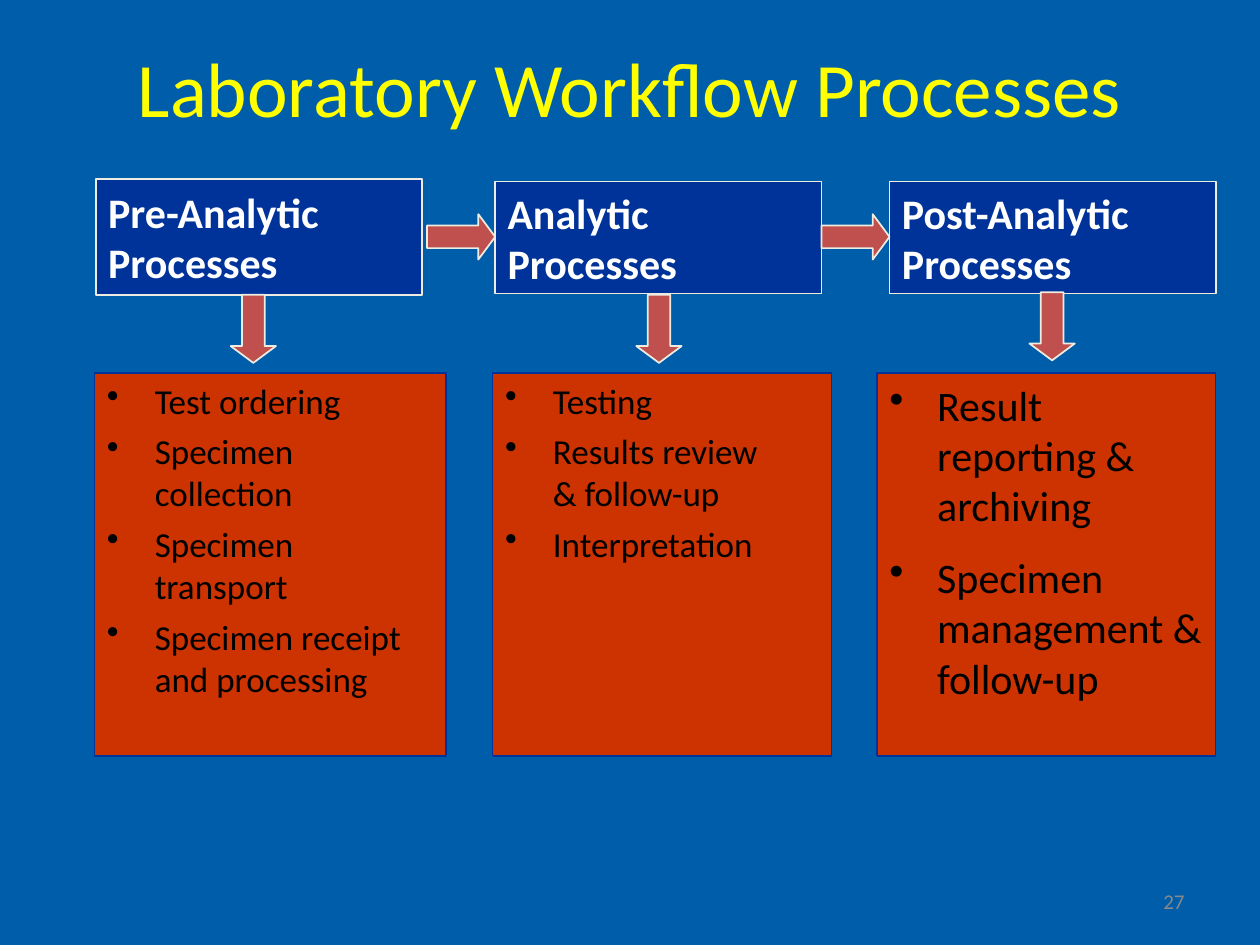
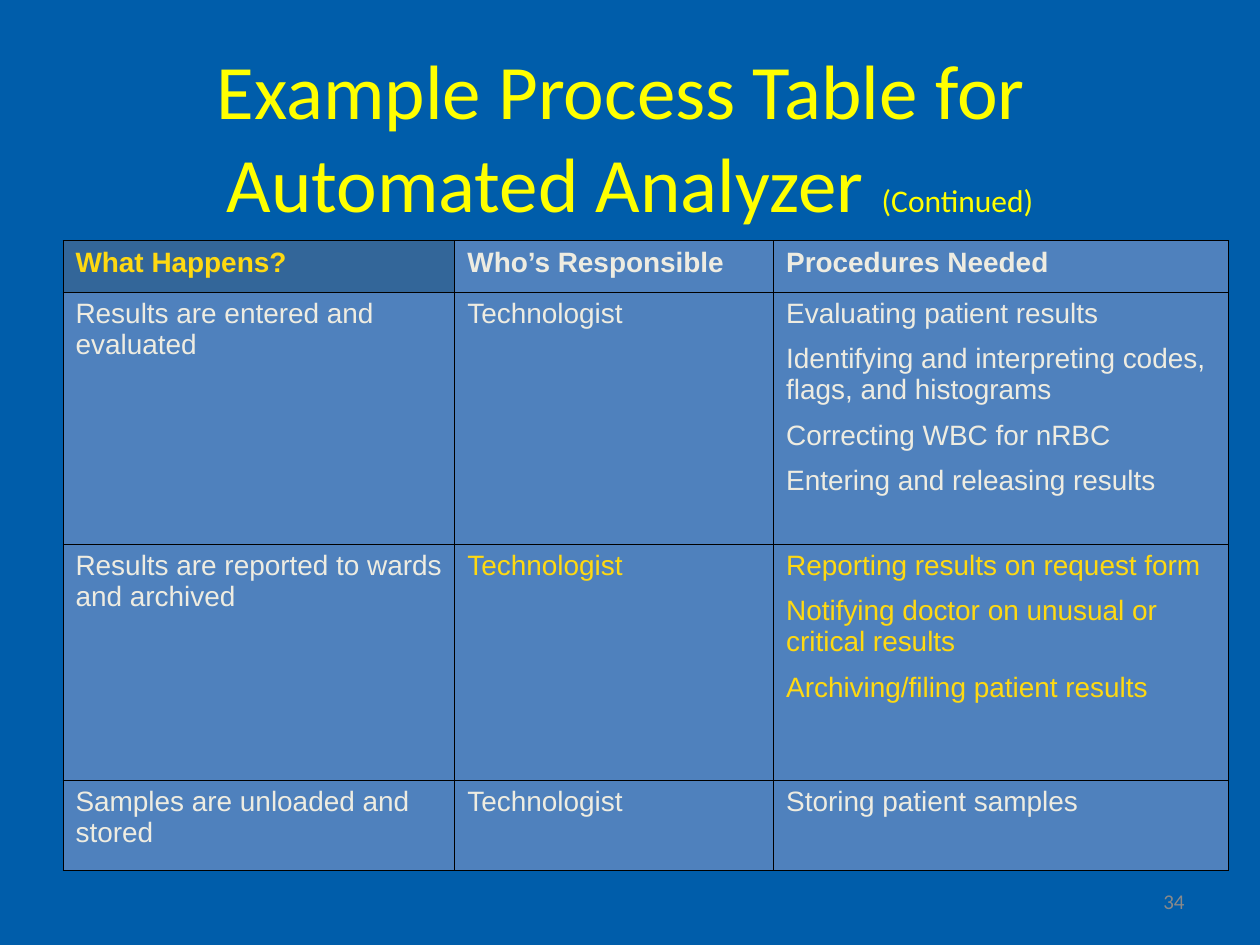
from pptx import Presentation
from pptx.dml.color import RGBColor
from pptx.enum.shapes import MSO_SHAPE
from pptx.enum.text import MSO_ANCHOR, MSO_AUTO_SIZE, PP_ALIGN
from pptx.oxml import parse_xml
from pptx.oxml.ns import nsdecls
from pptx.util import Inches, Pt


class Theme:
    back, title, page = "005DAA", "FFFF00", "898989"
    head, task, arrow = "003399", "CC3300", "C0504D"
    white, black, pale = "FFFFFF", "000000", "EEECE1"
    cell, corner, gold = "4F81BD", "336699", "FFD911"
    font, grid_font = "Calibri", "Arial"
    title_size, large, body, note, grid_size, page_size = 44, 24, 20, 18, 16, 12
    edge, thin, grid_line = 1, 0.75, 0.45


FLOW = {
    "title": "Laboratory Workflow Processes",
    "title_box": (0, 0.27, 10, 1.25),
    "page": "27",
    "stages": [
        {"head": "Pre-Analytic \vProcesses",
         "head_box": (0.76, 1.42, 2.59, 0.92),
         "tasks": ["Test ordering", "Specimen collection",
                   "Specimen transport", "Specimen receipt and processing"],
         "task_box": (0.75, 2.96, 2.79, 3.04),
         "size": Theme.body, "gap": 5, "drop": (1.74, 2.43)},
        {"head": "Analytic\nProcesses",
         "head_box": (3.93, 1.44, 2.59, 0.89),
         "tasks": ["Testing", "Results review \v& follow-up", "Interpretation"],
         "task_box": (3.91, 2.96, 2.69, 3.04),
         "size": Theme.body, "gap": 5, "drop": (4.96, 2.43)},
        {"head": "Post-Analytic\nProcesses",
         "head_box": (7.06, 1.44, 2.59, 0.89),
         "tasks": ["Result reporting & archiving",
                   "Specimen management & follow-up"],
         "task_box": (6.96, 2.96, 2.69, 3.04),
         "size": Theme.large, "gap": 12, "drop": (8.08, 2.41)},
    ],
}
ARROW = (0.54, 0.36)

GRID = {
    "title": "Example Process Table for \vAutomated Analyzer ",
    "note": "(Continued)",
    "title_box": (0, 0.29, 10, 1.62),
    "page": "34",
    "box": (0.5, 1.91, 9.25, 5),
    "widths": [3.11, 2.53, 3.61],
    "heights": [0.41, 2, 1.87, 0.72],
    "rows": [
        ["What Happens?", "Who’s Responsible", "Procedures Needed"],
        ["Results are entered and evaluated", "Technologist",
         "Evaluating patient results\n"
         "Identifying and interpreting codes, flags, and histograms\n"
         "Correcting WBC for nRBC\n"
         "Entering and releasing results"],
        ["Results are reported to wards and archived", "Technologist",
         "Reporting results on request form\n"
         "Notifying doctor on unusual or critical results\n"
         "Archiving/filing patient results"],
        ["Samples are unloaded and stored", "Technologist",
         "Storing patient samples"],
    ],
    "gold": {(0, 0), (2, 1), (2, 2)},
    "gap": 8,
}
PAGE_BOX = (7.17, 6.95, 2.33, 0.4)
INDENT = 0.38


def color(code):
    return RGBColor.from_string(code)


def inches(box):
    return [Inches(part) for part in box]


def style(frame, size, ink, font=Theme.font, bold=False,
          align=PP_ALIGN.LEFT, gap=0):
    for i, para in enumerate(frame.paragraphs):
        para.alignment = align
        para.space_before = Pt(gap if i else 0)
        for run in para.runs:
            run.font.name = font
            run.font.size = Pt(size)
            run.font.bold = bold
            run.font.color.rgb = color(ink)


def add_slide(deck, data):
    slide = deck.slides.add_slide(deck.slide_layouts[5])
    title = slide.shapes.title
    title.left, title.top, title.width, title.height = inches(data["title_box"])
    frame = title.text_frame
    frame.text = data["title"]
    frame.auto_size = MSO_AUTO_SIZE.NONE
    frame.vertical_anchor = MSO_ANCHOR.TOP
    style(frame, Theme.title_size, Theme.title, align=PP_ALIGN.CENTER)
    page = slide.shapes.add_textbox(*inches(PAGE_BOX)).text_frame
    page.text = data["page"]
    page.word_wrap = True
    page.vertical_anchor = MSO_ANCHOR.MIDDLE
    style(page, Theme.page_size, Theme.page, align=PP_ALIGN.RIGHT)
    return slide


def add_block(slide, kind, box, fill, line, width):
    shape = slide.shapes.add_shape(kind, *inches(box))
    shape.shadow.inherit = False
    shape.fill.solid()
    shape.fill.fore_color.rgb = color(fill)
    shape.line.color.rgb = color(line)
    shape.line.width = Pt(width)
    return shape


def add_label(slide, box, text, fill, line, width, anchor):
    shape = add_block(slide, MSO_SHAPE.RECTANGLE, box, fill, line, width)
    frame = shape.text_frame
    frame.text = text
    frame.word_wrap = True
    frame.vertical_anchor = anchor
    return frame


def add_arrow(slide, left, top, turn=0):
    shape = add_block(slide, MSO_SHAPE.RIGHT_ARROW, (left, top, *ARROW),
                      Theme.arrow, Theme.pale, Theme.edge)
    shape.adjustments[1] = 0.37
    shape.rotation = turn


def add_bullets(frame):
    for para in frame.paragraphs:
        props = para._p.get_or_add_pPr()
        props.set("marL", str(Inches(INDENT)))
        props.set("indent", str(-Inches(INDENT)))
        props.append(parse_xml(f'<a:buChar {nsdecls("a")} char="•"/>'))


def add_border(cell):
    props = cell._tc.get_or_add_tcPr()
    for side in "LRTB":
        props.append(parse_xml(
            f'<a:ln{side} {nsdecls("a")} w="{Pt(Theme.grid_line)}"><a:solidFill>'
            f'<a:srgbClr val="{Theme.black}"/></a:solidFill></a:ln{side}>'))


def draw_flow(deck):
    slide = add_slide(deck, FLOW)
    for stage in FLOW["stages"]:
        head = add_label(slide, stage["head_box"], stage["head"], Theme.head,
                         Theme.pale, Theme.edge, MSO_ANCHOR.MIDDLE)
        style(head, Theme.large, Theme.white, bold=True)
        tasks = add_label(slide, stage["task_box"], "\n".join(stage["tasks"]),
                          Theme.task, Theme.head, Theme.thin, MSO_ANCHOR.TOP)
        add_bullets(tasks)
        style(tasks, stage["size"], Theme.black, gap=stage["gap"])
    for stage in FLOW["stages"][1:]:
        add_arrow(slide, stage["head_box"][0] - ARROW[0], 1.7)
    for stage in FLOW["stages"]:
        add_arrow(slide, *stage["drop"], turn=90)


def draw_grid(deck):
    slide = add_slide(deck, GRID)
    note = slide.shapes.title.text_frame.paragraphs[0].add_run()
    note.text = GRID["note"]
    note.font.name = Theme.font
    note.font.size = Pt(Theme.note)
    note.font.color.rgb = color(Theme.title)
    rows = GRID["rows"]
    table = slide.shapes.add_table(len(rows), len(rows[0]),
                                   *inches(GRID["box"])).table
    for col, width in zip(table.columns, GRID["widths"]):
        col.width = Inches(width)
    for row, height in zip(table.rows, GRID["heights"]):
        row.height = Inches(height)
    for r, row in enumerate(rows):
        for c, text in enumerate(row):
            cell = table.cell(r, c)
            cell.text_frame.text = text
            add_border(cell)
            cell.fill.solid()
            fill = Theme.corner if r == c == 0 else Theme.cell
            cell.fill.fore_color.rgb = color(fill)
            ink = Theme.gold if (r, c) in GRID["gold"] else Theme.pale
            style(cell.text_frame, Theme.grid_size, ink, Theme.grid_font,
                  bold=r == 0, gap=GRID["gap"])


def main():
    deck = Presentation()
    deck.slide_width, deck.slide_height = Inches(10), Inches(7.5)
    fill = deck.slide_master.background.fill
    fill.solid()
    fill.fore_color.rgb = color(Theme.back)
    draw_flow(deck)
    draw_grid(deck)
    deck.save("out.pptx")


if __name__ == "__main__":
    main()
